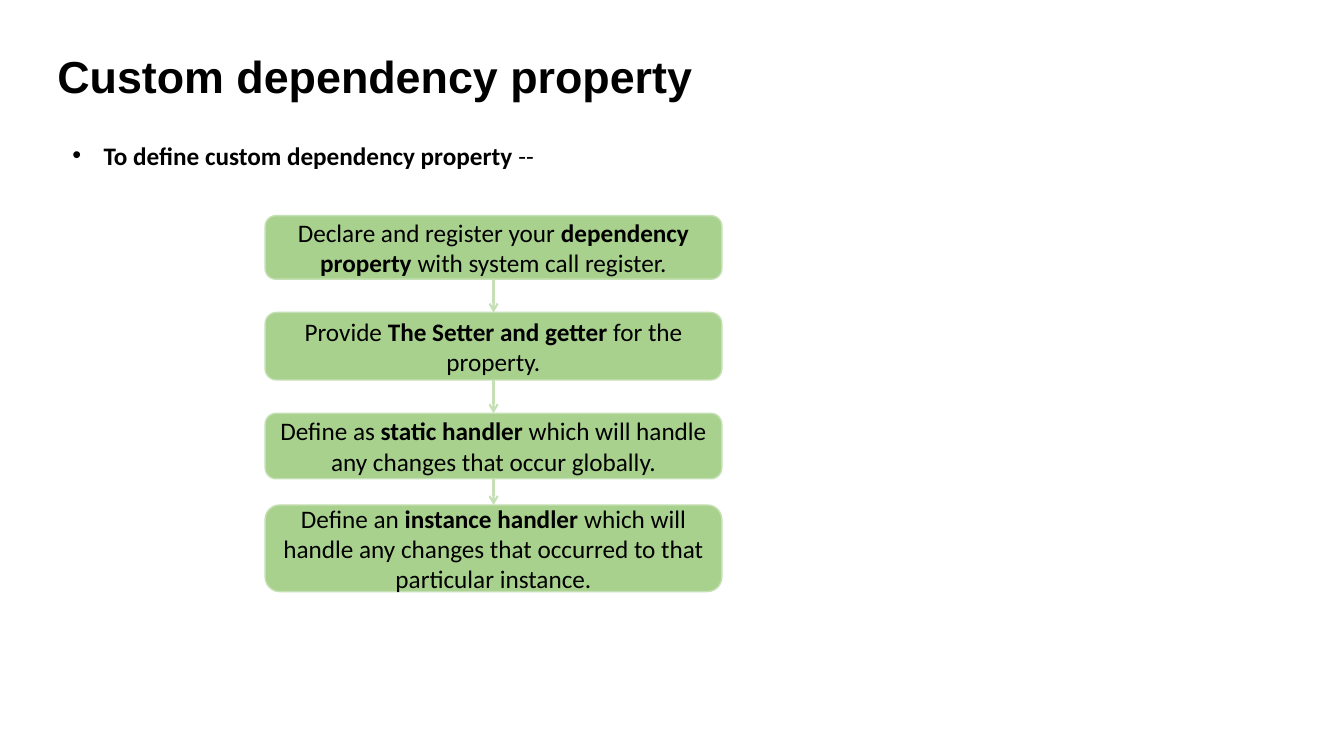
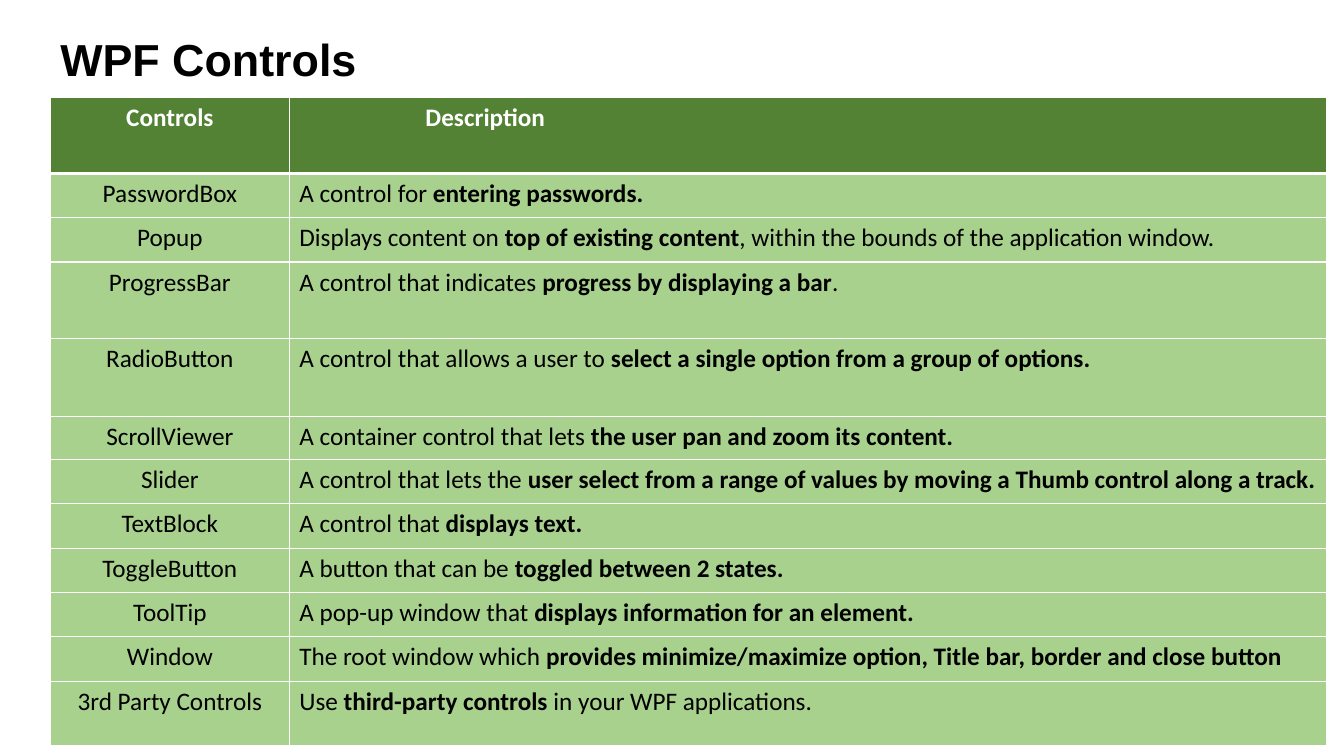
from itertools import pairwise

from lxml.etree import SubElement
from pptx import Presentation
from pptx.dml.color import RGBColor
from pptx.enum.shapes import MSO_CONNECTOR, MSO_SHAPE
from pptx.enum.text import MSO_ANCHOR, PP_ALIGN
from pptx.oxml.ns import qn
from pptx.util import Inches, Pt

COLORS = {
    "text": "000000",
    "white": "FFFFFF",
    "header": "548235",
    "body": "A9D18E",
    "outline": "C5E0B4",
}
STEP_LEFT, STEP_WIDTH = 2.63, 4.53
STEPS = [
    (2.14, 0.63, "Declare and register your **dependency property **with system call register."),
    (3.1, 0.67, "Provide **The Setter and getter** for the property."),
    (4.1, 0.65, "Define as **static handler** which will handle any changes that occur globally."),
    (5.01, 0.86, "Define an **instance handler** which will handle any changes that occurred to that particular instance."),
]
TABLE_LEFT, TABLE_TOP = 0.5, 0.97
COLUMN_WIDTHS = (2.37, 10.29)
HEADER_HEIGHT = 0.75
CONTROLS = [
    (0.44, "PasswordBox", "A control for **entering passwords.**"),
    (0.44, "Popup", "Displays content on **top of existing content**, within the bounds of the application window."),
    (0.76, "ProgressBar", "A control that indicates **progress by displaying a bar**."),
    (0.77, "RadioButton", "A control that allows a user to** select a single option from a group of options.**"),
    (0.43, "ScrollViewer", "A container control that lets** the user pan and zoom its content.**"),
    (0.44, "Slider", "A control that lets the **user select from a range of values by moving a Thumb control along a track.**"),
    (0.44, "TextBlock", "A control that **displays text.**"),
    (0.44, "ToggleButton", "A button that can be **toggled between 2 states.**"),
    (0.44, "ToolTip", "A pop-up window that **displays information for an element.**"),
    (0.44, "Window", "The root window which **provides minimize/maximize option, Title bar, border and close button**"),
    (0.64, "3rd Party Controls", "Use **third-party controls** in your WPF applications."),
]


def rgb(name):
    return RGBColor.from_string(COLORS[name])


def write(tf, text, size=18, font="Calibri", color="text", align=PP_ALIGN.LEFT, spacing=None):
    p = tf.paragraphs[0]
    p.alignment = align
    p.line_spacing = spacing
    for i, part in enumerate(text.split("**")):
        if part:
            r = p.add_run()
            r.text = part
            r.font.size = Pt(size)
            r.font.name = font
            r.font.bold = i % 2 == 1
            r.font.color.rgb = rgb(color)
    return p


def add_text(s, text, left, top, width, height, anchor=MSO_ANCHOR.TOP, **style):
    tf = s.shapes.add_textbox(Inches(left), Inches(top), Inches(width), Inches(height)).text_frame
    tf.word_wrap = True
    tf.vertical_anchor = anchor
    return write(tf, text, **style)


def add_title(s, text, left, top, width, height):
    add_text(s, f"**{text}**", left, top, width, height,
             anchor=MSO_ANCHOR.MIDDLE, size=32, font="Arial", spacing=0.9)


def add_bullet(s, text, left, top, width, height, indent=0.31):
    pPr = add_text(s, text, left, top, width, height)._p.get_or_add_pPr()
    pPr.set("marL", str(Inches(indent)))
    pPr.set("indent", str(-Inches(indent)))
    SubElement(pPr, qn("a:buFont"), typeface="Arial")
    SubElement(pPr, qn("a:buChar"), char="•")


def add_step(s, top, height, text):
    sp = s.shapes.add_shape(MSO_SHAPE.ROUNDED_RECTANGLE, Inches(STEP_LEFT), Inches(top),
                            Inches(STEP_WIDTH), Inches(height))
    sp.shadow.inherit = False
    sp.fill.solid()
    sp.fill.fore_color.rgb = rgb("body")
    sp.line.color.rgb = rgb("outline")
    sp.line.width = Pt(1)
    tf = sp.text_frame
    tf.word_wrap = True
    tf.vertical_anchor = MSO_ANCHOR.MIDDLE
    write(tf, text, align=PP_ALIGN.CENTER)
    return sp


def add_arrow(s, upper, lower):
    x = upper.left + upper.width // 2
    line = s.shapes.add_connector(MSO_CONNECTOR.STRAIGHT, x, upper.top + upper.height, x, lower.top)
    line.begin_connect(upper, 2)
    line.end_connect(lower, 0)
    line.line.color.rgb = rgb("outline")
    line.line.width = Pt(1.5)
    SubElement(line.line._get_or_add_ln(), qn("a:tailEnd"), type="arrow")
    SubElement(line._element.spPr, qn("a:effectLst"))


def format_cell(cell, fill, top=1, bottom=1):
    tcPr = cell._tc.get_or_add_tcPr()
    for side, width in (("L", 1), ("R", 1), ("T", top), ("B", bottom)):
        ln = SubElement(tcPr, qn(f"a:ln{side}"), w=str(Pt(width)))
        SubElement(SubElement(ln, qn("a:solidFill")), qn("a:srgbClr"), val=COLORS["white"])
    cell.fill.solid()
    cell.fill.fore_color.rgb = rgb(fill)


def add_controls_table(s):
    rows = [(HEADER_HEIGHT, "**Controls**", "**Description**"), *CONTROLS]
    heights = [row[0] for row in rows]
    table = s.shapes.add_table(len(rows), len(COLUMN_WIDTHS), Inches(TABLE_LEFT), Inches(TABLE_TOP),
                               Inches(sum(COLUMN_WIDTHS)), Inches(sum(heights))).table
    table.horz_banding = False
    for column, width in zip(table.columns, COLUMN_WIDTHS):
        column.width = Inches(width)
    for i, (height, *texts) in enumerate(rows):
        table.rows[i].height = Inches(height)
        header = i == 0
        for j, text in enumerate(texts):
            cell = table.cell(i, j)
            format_cell(cell, "header" if header else "body",
                        top=3 if i == 1 else 1, bottom=3 if header else 1)
            write(cell.text_frame, text, color="white" if header else "text",
                  align=PP_ALIGN.LEFT if j else PP_ALIGN.CENTER)
    table.cell(0, 1).margin_left = Inches(1.35)


def build_property_slide(s):
    add_title(s, "Custom dependency property", 0.47, 0.52, 8.19, 0.53)
    steps = [add_step(s, *step) for step in STEPS]
    for upper, lower in pairwise(steps):
        add_arrow(s, upper, lower)
    add_bullet(s, "**To define custom dependency property **--", 0.62, 1.34, 10.21, 0.4)


def build_controls_slide(s):
    add_controls_table(s)
    add_title(s, "WPF Controls", 0.5, 0.26, 3.53, 0.71)


def main():
    prs = Presentation()
    prs.slide_width = Inches(13.33)
    prs.slide_height = Inches(7.5)
    for build in (build_property_slide, build_controls_slide):
        build(prs.slides.add_slide(prs.slide_layouts[6]))
    prs.save("out.pptx")


if __name__ == "__main__":
    main()
